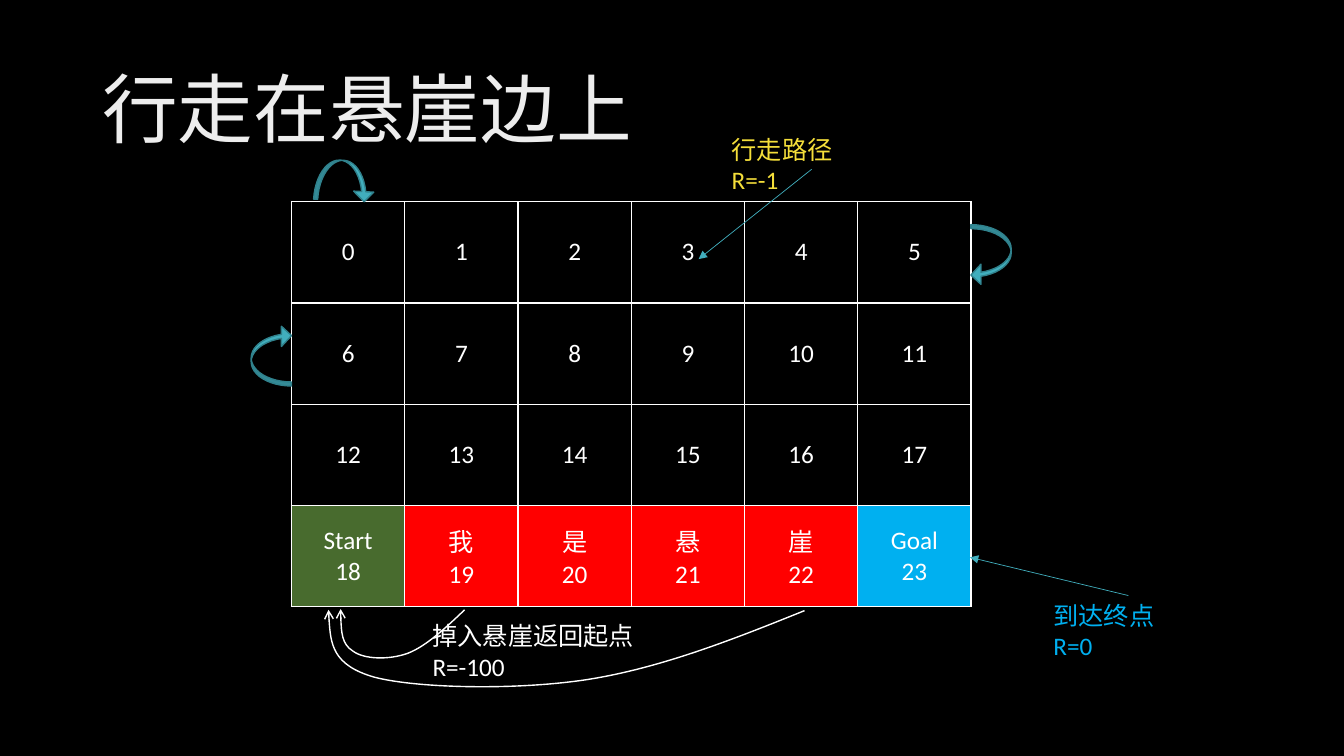
"""Build the cliff-walking grid slide."""
from dataclasses import dataclass
from typing import Any

from pptx import Presentation
from pptx.dml.color import RGBColor
from pptx.enum.shapes import MSO_CONNECTOR, MSO_SHAPE
from pptx.enum.text import MSO_ANCHOR, MSO_AUTO_SIZE, PP_ALIGN
from pptx.oxml import parse_xml
from pptx.oxml.ns import nsdecls, qn
from pptx.util import Emu, Inches, Pt

STRAIGHT = MSO_CONNECTOR.STRAIGHT
BENT_ARROW = MSO_SHAPE.CURVED_DOWN_ARROW
MIDDLE, TOP = MSO_ANCHOR.MIDDLE, MSO_ANCHOR.TOP
LEFT, CENTER = PP_ALIGN.LEFT, PP_ALIGN.CENTER
GROW, FIXED = MSO_AUTO_SIZE.SHAPE_TO_FIT_TEXT, MSO_AUTO_SIZE.NONE

WIDTH, HEIGHT = Inches(13.33), Inches(7.5)
UNIT = HEIGHT / 18
BOARD_COLS, BOARD_ROWS = 6, 4

Point = tuple[float, float]


@dataclass(frozen=True)
class Theme:
    font: str = "Calibri"
    title_size: int = 54
    body_size: int = 18
    back: str = "000000"
    white: str = "FFFFFF"
    teal: str = "41AEBD"
    teal_dark: str = "30818C"
    yellow: str = "F4DE3A"
    blue: str = "00B0F0"
    green: str = "486B2E"
    red: str = "FF0000"
    title_stops: tuple = ((0, "BFBFBF"), (28, "EDEDED"), (100, "FFFFFF"))
    title_angle: int = 80


@dataclass(frozen=True)
class Label:
    text: str
    col: float
    row: float
    cols: float
    color: str


@dataclass(frozen=True)
class Pointer:
    start: Point
    end: Point


@dataclass(frozen=True)
class Bounce:
    col: float
    row: float
    angle: float


@dataclass(frozen=True)
class Fall:
    points: tuple[Point, ...]


THEME = Theme()
ZONES = (
    ("Start", THEME.green),
    ("我", THEME.red),
    ("是", THEME.red),
    ("悬", THEME.red),
    ("崖", THEME.red),
    ("Goal", THEME.blue),
)
LABELS = (
    Label("行走路径\vR=-1", 17.18, 3.07, 4.3, THEME.yellow),
    Label("掉入悬崖返回起点\vR=-100", 10.06, 14.66, 7.34, THEME.white),
    Label("到达终点\vR=0", 24.84, 14.18, 4.01, THEME.blue),
)
POINTERS = (
    Pointer((19.32, 4.03), (16.63, 6.17)),
    Pointer((26.86, 14.18), (23.09, 13.27)),
)
BOUNCES = (Bounce(5.74, 7.99, 270), Bounce(7.49, 3.82, 3), Bounce(22.87, 5.59, 90))
FALLS = (
    Fall(((19.15, 14.54), (17.42, 15.24), (15.7, 15.91), (13.99, 16.18),
          (12.29, 16.44), (9.96, 16.39), (8.93, 16.13),
          (7.9, 15.84), (7.85, 15.19), (7.82, 14.52))),
    Fall(((11.06, 14.52), (10.61, 14.95), (10.15, 15.38), (9.72, 15.55),
          (9.26, 15.72), (8.66, 15.7), (8.4, 15.5),
          (8.14, 15.34), (8.11, 14.93), (8.11, 14.5))),
)


def grid(*units: float) -> list[Emu]:
    return [Emu(round(u * UNIT)) for u in units]


def rgb(color: str) -> RGBColor:
    return RGBColor.from_string(color)


def write(tf: Any, text: str, *, size: int = THEME.body_size, color: str = THEME.white,
          align: Any = LEFT, spacing: float = 1.0) -> None:
    tf.text = text
    for p in tf.paragraphs:
        p.alignment, p.line_spacing = align, spacing
        for r in p.runs:
            r.font.name, r.font.size = THEME.font, Pt(size)
            r.font.color.rgb = rgb(color)


def add_text(slide: Any, text: str, box: list[Emu], *, anchor: Any = TOP,
             auto: Any = GROW, **fmt: Any) -> Any:
    tf = slide.shapes.add_textbox(*box).text_frame
    tf.word_wrap, tf.auto_size, tf.vertical_anchor = True, auto, anchor
    write(tf, text, **fmt)
    return tf


def add_title(slide: Any) -> None:
    tf = add_text(slide, "行走在悬崖边上", grid(2.2, 0.96, 27.6, 3.48), anchor=MIDDLE,
                  auto=FIXED, size=THEME.title_size, spacing=0.9)
    stops = "".join(f'<a:gs pos="{pos * 1000}"><a:srgbClr val="{color}"/></a:gs>'
                    for pos, color in THEME.title_stops)
    rpr = tf.paragraphs[0].runs[0].font._element
    rpr.replace(rpr.find(qn("a:solidFill")), parse_xml(
        f'<a:gradFill {nsdecls("a")}><a:gsLst>{stops}</a:gsLst>'
        f'<a:lin ang="{THEME.title_angle * 60000}" scaled="0"/></a:gradFill>'))


def add_borders(cell: Any) -> None:
    tcpr = cell._tc.get_or_add_tcPr()
    for i, side in enumerate("LRTB"):
        tcpr.insert(i, parse_xml(
            f'<a:ln{side} {nsdecls("a")} w="{Pt(1)}"><a:solidFill>'
            f'<a:srgbClr val="{THEME.white}"/></a:solidFill></a:ln{side}>'))


def add_board(slide: Any) -> None:
    table = slide.shapes.add_table(BOARD_ROWS, BOARD_COLS,
                                   *grid(6.94, 4.8, 16.18, 9.65)).table
    table.first_row = table.horz_banding = False
    for n, cell in enumerate(table.iter_cells()):
        row, col = divmod(n, BOARD_COLS)
        cell.vertical_anchor = MIDDLE
        if row == BOARD_ROWS - 1:
            name, color = ZONES[col]
            write(cell.text_frame, f"{name}\n{n}", align=CENTER)
            cell.fill.solid()
            cell.fill.fore_color.rgb = rgb(color)
        else:
            write(cell.text_frame, str(n), align=CENTER)
            cell.fill.background()
        add_borders(cell)


def set_line(sp: Any, color: str, width: float, head: str = "") -> None:
    sp.line.color.rgb, sp.line.width = rgb(color), Pt(width)
    if head:
        sp.line._get_or_add_ln().append(
            parse_xml(f'<a:tailEnd {nsdecls("a")} type="{head}"/>'))


def add_fall(slide: Any, fall: Fall) -> None:
    start, *rest = [tuple(grid(*pt)) for pt in fall.points]
    fb = slide.shapes.build_freeform(*start)
    fb.add_line_segments(rest, close=False)
    sp = fb.convert_to_shape()
    sp.fill.background()
    sp.shadow.inherit = False
    set_line(sp, THEME.white, 1, "arrow")
    outline = next(sp._element.iter(qn("a:path")))
    steps = outline.findall(qn("a:lnTo"))
    for i in range(0, len(steps), 3):
        curve = parse_xml(f'<a:cubicBezTo {nsdecls("a")}/>')
        outline.append(curve)
        for step in steps[i:i + 3]:
            curve.append(step[0])
            outline.remove(step)


def add_pointer(slide: Any, pointer: Pointer) -> None:
    sp = slide.shapes.add_connector(STRAIGHT, *grid(*pointer.start, *pointer.end))
    set_line(sp, THEME.teal, 0.5, "triangle")
    sp._element.spPr.append(parse_xml(f'<a:effectLst {nsdecls("a")}/>'))


def add_bounce(slide: Any, bounce: Bounce) -> None:
    sp = slide.shapes.add_shape(BENT_ARROW, *grid(bounce.col, bounce.row, 1.44, 0.96))
    sp.rotation, sp.shadow.inherit = bounce.angle, False
    sp.adjustments[0], sp.adjustments[1], sp.adjustments[2] = 0.1, 0.5, 0.25
    sp.fill.solid()
    sp.fill.fore_color.rgb = rgb(THEME.teal)
    set_line(sp, THEME.teal_dark, 1)


def main() -> None:
    prs = Presentation()
    prs.slide_width, prs.slide_height = WIDTH, HEIGHT
    slide = prs.slides.add_slide(prs.slide_layouts[6])
    slide.background.fill.solid()
    slide.background.fill.fore_color.rgb = rgb(THEME.back)
    add_title(slide)
    add_board(slide)
    for fall in FALLS:
        add_fall(slide, fall)
    for label in LABELS:
        add_text(slide, label.text, grid(label.col, label.row, label.cols, 0.96),
                 color=label.color)
    for pointer in POINTERS:
        add_pointer(slide, pointer)
    for bounce in BOUNCES:
        add_bounce(slide, bounce)
    prs.save("out.pptx")


if __name__ == "__main__":
    main()
